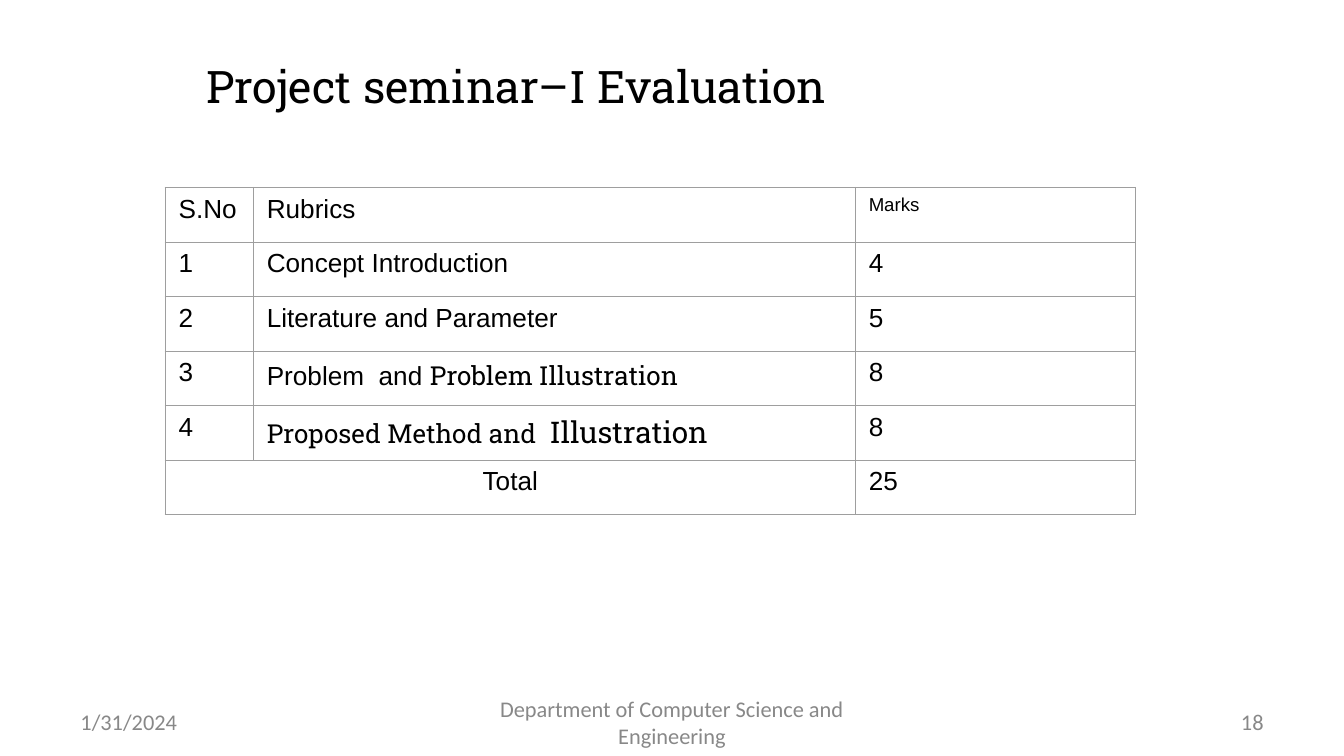
from dataclasses import dataclass

from lxml.etree import SubElement
from pptx import Presentation
from pptx.dml.color import RGBColor
from pptx.enum.text import MSO_ANCHOR, PP_ALIGN
from pptx.oxml.ns import qn
from pptx.util import Emu, Pt

LEFT, CENTER, RIGHT = PP_ALIGN.LEFT, PP_ALIGN.CENTER, PP_ALIGN.RIGHT


@dataclass(frozen=True)
class Theme:
    ink: str = "000000"
    muted: str = "888888"
    rule: str = "9E9E9E"
    rule_width: float = 0.75
    body: str = "Arial"
    slab: str = "Roboto Slab"
    small: str = "Calibri"
    title_size: int = 24
    large_size: int = 16
    body_size: int = 14
    footer_size: int = 12
    label_size: int = 10


THEME = Theme()
EMU_PER_PX = 9525  # 96 px to the inch


def px(length):
    return Emu(length * EMU_PER_PX)


def run(text, font=THEME.body, size=THEME.body_size, color=THEME.ink):
    return text, font, size, color


# Content
TITLE = "Project seminar–I Evaluation"
RUBRICS = [
    ("S.No", "Rubrics", [run("Marks", size=THEME.label_size)]),
    ("1", "Concept Introduction", "4"),
    ("2", "Literature and Parameter", "5"),
    ("3", [run("Problem  and "), run("Problem", THEME.slab),
           run(" ", THEME.slab, THEME.footer_size),
           run("Illustration", THEME.slab)], "8"),
    ("4", [run("Proposed Method and  ", THEME.slab),
           run("Illustration", THEME.slab, THEME.large_size)], "8"),
]
TOTAL = ("Total", "25")
FOOTERS = [  # text, left, width, alignment
    ("1/31/2024", 48, 224, LEFT),
    ("Department of Computer Science and Engineering", 328, 304, CENTER),
    ("18", 688, 224, RIGHT),
]

# Layout
SLIDE_SIZE = (960, 540)
TITLE_BOX = (48, 28, 642, 66)
FOOTER_TOP, FOOTER_HEIGHT = 501, 29
TABLE_LEFT, TABLE_TOP, ROW_HEIGHT = 118, 134, 39
COLUMN_WIDTHS = (63, 430, 200)


def write(frame, content, align=LEFT):
    paragraph = frame.paragraphs[0]
    paragraph.alignment = align
    runs = [run(content)] if isinstance(content, str) else content
    for text, font, size, color in runs:
        piece = paragraph.add_run()
        piece.text = text
        piece.font.name = font
        piece.font.size = Pt(size)
        piece.font.color.rgb = RGBColor.from_string(color)


def add_text(slide, box, content, align):
    frame = slide.shapes.add_textbox(*map(px, box)).text_frame
    frame.word_wrap = True
    frame.vertical_anchor = MSO_ANCHOR.MIDDLE
    write(frame, content, align)


def style_cell(cell):
    properties = cell._tc.get_or_add_tcPr()
    for side in ("a:lnL", "a:lnR", "a:lnT", "a:lnB"):
        line = SubElement(properties, qn(side), w=str(Pt(THEME.rule_width)))
        fill = SubElement(line, qn("a:solidFill"))
        SubElement(fill, qn("a:srgbClr"), val=THEME.rule)
    cell.fill.background()


def add_rubrics(slide):
    row_count = len(RUBRICS) + 1
    table = slide.shapes.add_table(
        row_count, len(COLUMN_WIDTHS), px(TABLE_LEFT), px(TABLE_TOP),
        px(sum(COLUMN_WIDTHS)), px(ROW_HEIGHT * row_count)).table
    table.first_row = table.horz_banding = False
    for column, width in zip(table.columns, COLUMN_WIDTHS):
        column.width = px(width)
    for row in table.rows:
        row.height = px(ROW_HEIGHT)
    for cell in table.iter_cells():
        style_cell(cell)
    for r, entries in enumerate(RUBRICS):
        for c, entry in enumerate(entries):
            write(table.cell(r, c).text_frame, entry)

    # Total row: the label spans the first two columns
    last = row_count - 1
    label, marks = TOTAL
    table.cell(last, 0).merge(table.cell(last, 1))
    write(table.cell(last, 0).text_frame, label, CENTER)
    write(table.cell(last, 2).text_frame, marks)


def main():
    deck = Presentation()
    deck.slide_width, deck.slide_height = map(px, SLIDE_SIZE)
    slide = deck.slides.add_slide(deck.slide_layouts[6])

    add_text(slide, TITLE_BOX,
             [run(TITLE, THEME.slab, THEME.title_size)], CENTER)
    add_rubrics(slide)
    for text, left, width, align in FOOTERS:
        add_text(slide, (left, FOOTER_TOP, width, FOOTER_HEIGHT),
                 [run(text, THEME.small, THEME.footer_size, THEME.muted)], align)

    deck.save("out.pptx")


if __name__ == "__main__":
    main()
